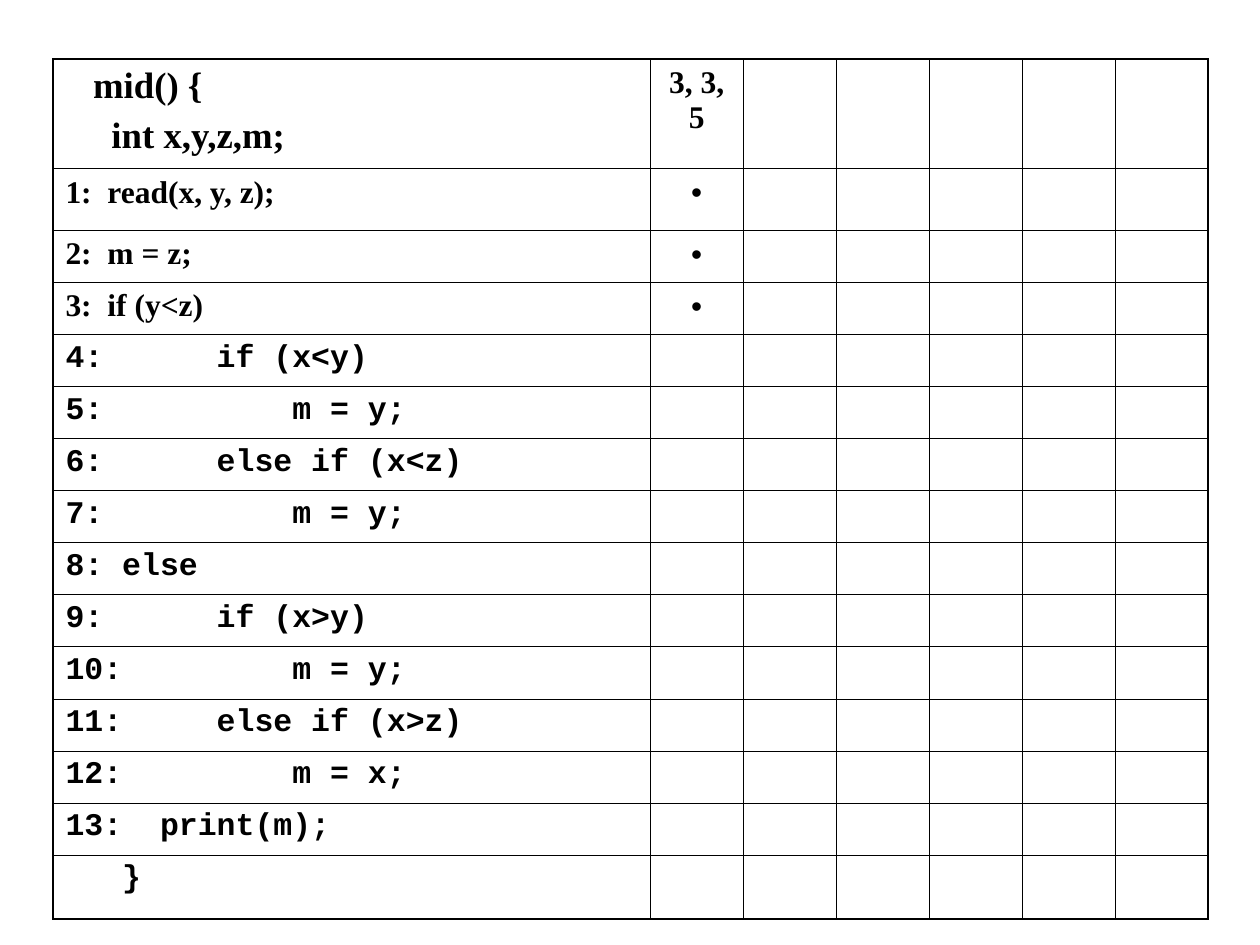
from lxml import etree
from pptx import Presentation
from pptx.dml.color import RGBColor
from pptx.enum.text import PP_ALIGN
from pptx.oxml.ns import qn
from pptx.util import Inches, Pt

CENTER = PP_ALIGN.CENTER
LEFT = PP_ALIGN.LEFT
COLORS = {"ink": "000000", "paper": "FFFFFF"}
SERIF, SANS, MONO = "Times New Roman", "Arial", "Courier New"
OUTER, INNER = 1.08, 0.45

HEADER = ["   mid() {", "     int x,y,z,m;"]
SERIF_CODE = ["1:  read(x, y, z);", "2:  m = z;", "3:  if (y<z)"]
MONO_CODE = [
    "4:      if (x<y)",
    "5:          m = y;",
    "6:      else if (x<z)",
    "7:          m = y;",
    "8: else",
    "9:      if (x>y)",
    "10:         m = y;",
    "11:     else if (x>z)",
    "12:         m = x;",
    "13:  print(m);",
    "   }",
]
TEST_CASES = 6
WIDTH, HEIGHT, CODE_WIDTH = 9.17, 6.83, 4.74
HEADER_HEIGHT, FIRST_HEIGHT, LAST_HEIGHT = 0.87, 0.49, 0.51


class TraceSlide:
    """Draws a coverage table in one style on the current slide."""

    def __init__(self, prs):
        self.s = prs.slides.add_slide(prs.slide_layouts[6])

    def color(self, name):
        return RGBColor.from_string(COLORS[name])

    def table(self, left, top, widths, heights):
        frame = self.s.shapes.add_table(
            len(heights), len(widths), Inches(left), Inches(top),
            Inches(sum(widths)), Inches(sum(heights)))
        table = frame.table
        table.first_row = table.horz_banding = False
        for column, width in zip(table.columns, widths):
            column.width = Inches(width)
        for row, height in zip(table.rows, heights):
            row.height = Inches(height)
        last_row, last_col = len(heights) - 1, len(widths) - 1
        for i in range(len(heights)):
            for j in range(len(widths)):
                edges = {"lnL": j == 0, "lnR": j == last_col,
                         "lnT": i == 0, "lnB": i == last_row}
                self.cell(table.cell(i, j), edges)
        return table

    def cell(self, cell, edges):
        tc_pr = cell._tc.get_or_add_tcPr()
        for tag, is_outer in edges.items():
            width = Pt(OUTER if is_outer else INNER)
            ln = etree.SubElement(tc_pr, qn(f"a:{tag}"), w=str(width))
            fill = etree.SubElement(ln, qn("a:solidFill"))
            etree.SubElement(fill, qn("a:srgbClr"), val=COLORS["ink"])
        cell.fill.solid()
        cell.fill.fore_color.rgb = self.color("paper")

    def text(self, cell, lines, font, size=18, bold=True, align=LEFT):
        tf = cell.text_frame
        for k, line in enumerate(lines):
            p = tf.add_paragraph() if k else tf.paragraphs[0]
            p.alignment = align
            if k:
                p.space_before = Pt(5.2)
            r = p.add_run()
            r.text = line
            r.font.name = font
            r.font.size = Pt(size)
            r.font.bold = bold
            r.font.color.rgb = self.color("ink")


def main():
    prs = Presentation()
    prs.slide_width, prs.slide_height = Inches(10), Inches(7.5)
    slide = TraceSlide(prs)

    code = [(line, SERIF) for line in SERIF_CODE]
    code += [(line, MONO) for line in MONO_CODE]
    middle = len(code) - 2
    step = (HEIGHT - HEADER_HEIGHT - FIRST_HEIGHT - LAST_HEIGHT) / middle
    heights = [HEADER_HEIGHT, FIRST_HEIGHT] + [step] * middle + [LAST_HEIGHT]
    widths = [CODE_WIDTH] + [(WIDTH - CODE_WIDTH) / TEST_CASES] * TEST_CASES
    table = slide.table(0.42, 0.47, widths, heights)

    slide.text(table.cell(0, 0), HEADER, SERIF, size=21)
    slide.text(table.cell(0, 1), ["3, 3, 5"], SERIF, align=CENTER)
    for i, (line, font) in enumerate(code, 1):
        slide.text(table.cell(i, 0), [line], font)
    for i in range(1, len(SERIF_CODE) + 1):
        slide.text(table.cell(i, 1), ["•"], SANS, bold=False, align=CENTER)

    prs.save("out.pptx")


if __name__ == "__main__":
    main()
